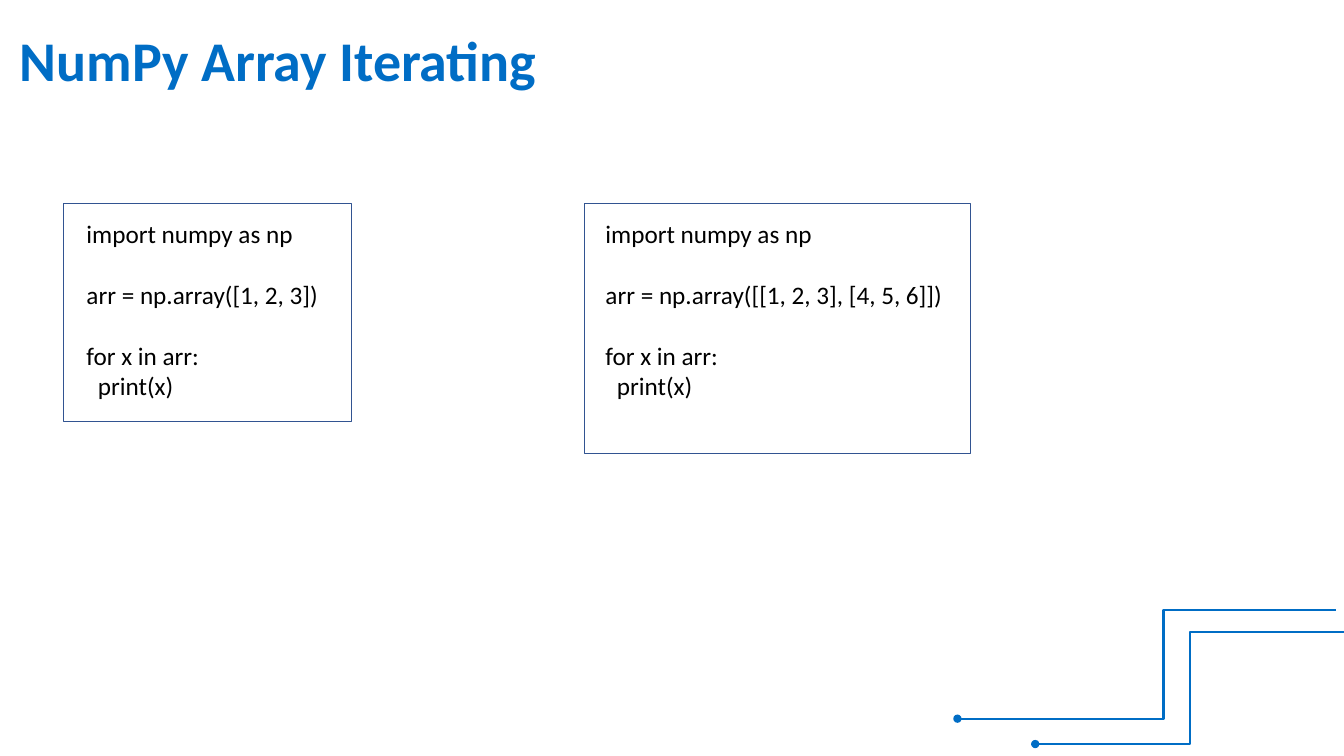
from dataclasses import dataclass

from lxml.etree import SubElement
from pptx import Presentation
from pptx.dml.color import RGBColor
from pptx.enum.shapes import MSO_CONNECTOR, MSO_SHAPE
from pptx.enum.text import MSO_AUTO_SIZE
from pptx.oxml.ns import qn
from pptx.slide import Slide
from pptx.text.text import _Paragraph
from pptx.util import Cm, Pt

HUES = {"blue": "006DC5", "navy": "325491", "black": "000000"}
FONT = "Calibri"
TOP = 5.13
INSET = 0.25


@dataclass
class Code:
    left: float
    width: float
    height: float
    pad: float
    span: float
    array: str


@dataclass
class Wire:
    right: float
    top: float
    left: float
    bottom: float
    bend: int


CODES = [
    Code(1.6, 7.26, 5.49, 0.33, 6.43, "[1, 2, 3]"),
    Code(14.73, 9.73, 6.3, 0.28, 9.09, "[[1, 2, 3], [4, 5, 6]]"),
]
WIRES = [
    Wire(33.66, 15.37, 24.13, 18.11, 45500),
    Wire(33.87, 15.93, 26.09, 18.75, 50000),
]


def hue(name: str) -> RGBColor:
    return RGBColor.from_string(HUES[name])


def style(para: _Paragraph, size: float, color: str, bold: bool = False) -> None:
    para.font.name = FONT
    para.font.size = Pt(size)
    para.font.bold = bold
    para.font.color.rgb = hue(color)


def add_title(slide: Slide, text: str) -> None:
    box = slide.shapes.add_textbox(Cm(0.25), Cm(0.51), Cm(27.74), Cm(1.96))
    frame = box.text_frame
    frame.word_wrap = True
    frame.auto_size = MSO_AUTO_SIZE.SHAPE_TO_FIT_TEXT
    para = frame.paragraphs[0]
    para.text = text
    style(para, 40, "blue", True)


def add_wire(slide: Slide, wire: Wire) -> None:
    line = slide.shapes.add_connector(
        MSO_CONNECTOR.ELBOW,
        Cm(wire.right), Cm(wire.top), Cm(wire.left), Cm(wire.bottom),
    )
    line.line.color.rgb = hue("blue")
    line.line.width = Pt(1.5)
    props = line._element.spPr
    guides = props.find(qn("a:prstGeom")).get_or_add_avLst()
    SubElement(guides, qn("a:gd"), name="adj1", fmla=f"val {wire.bend}")
    SubElement(props.find(qn("a:ln")), qn("a:tailEnd"), type="oval")
    SubElement(props, qn("a:effectLst"))


def add_code(slide: Slide, code: Code) -> None:
    box = slide.shapes.add_textbox(
        Cm(code.left + code.pad), Cm(TOP + INSET), Cm(code.span), Cm(4.88)
    )
    frame = box.text_frame
    frame.word_wrap = False
    frame.auto_size = MSO_AUTO_SIZE.SHAPE_TO_FIT_TEXT
    lines = [
        ("import numpy as np", 0),
        (f"arr = np.array({code.array})", 22),
        ("for x in arr:", 22),
        ("  print(x)", 0),
    ]
    for index, (text, gap) in enumerate(lines):
        para = frame.add_paragraph() if index else frame.paragraphs[0]
        para.text = text
        if gap:
            para.space_before = Pt(gap)
        style(para, 18, "black")

    rect = slide.shapes.add_shape(
        MSO_SHAPE.RECTANGLE,
        Cm(code.left), Cm(TOP), Cm(code.width), Cm(code.height),
    )
    rect.shadow.inherit = False
    rect.fill.background()
    rect.line.color.rgb = hue("navy")
    rect.line.width = Pt(1)


def main() -> None:
    deck = Presentation()
    deck.slide_width = Cm(33.87)
    deck.slide_height = Cm(19.05)
    slide = deck.slides.add_slide(deck.slide_layouts[6])
    add_title(slide, "NumPy Array Iterating")
    for wire in WIRES:
        add_wire(slide, wire)
    for code in CODES:
        add_code(slide, code)
    deck.save("out.pptx")


if __name__ == "__main__":
    main()
